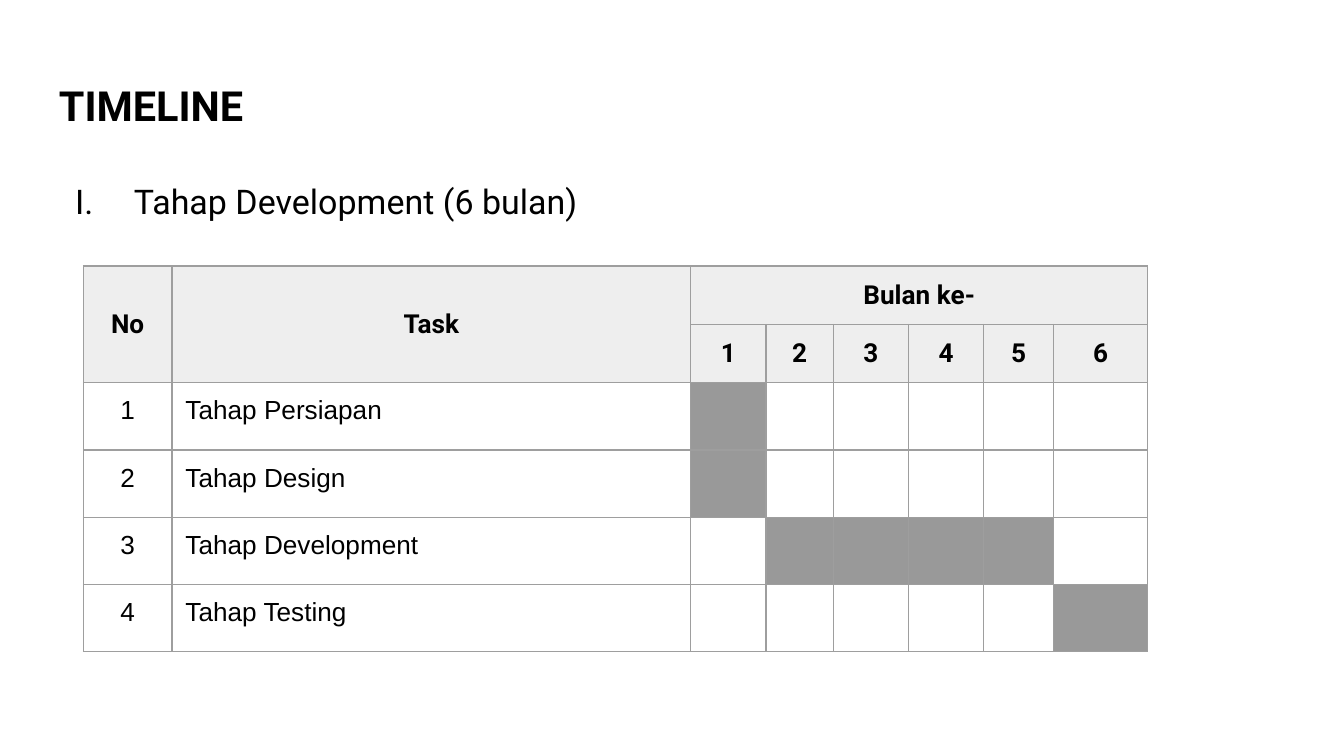
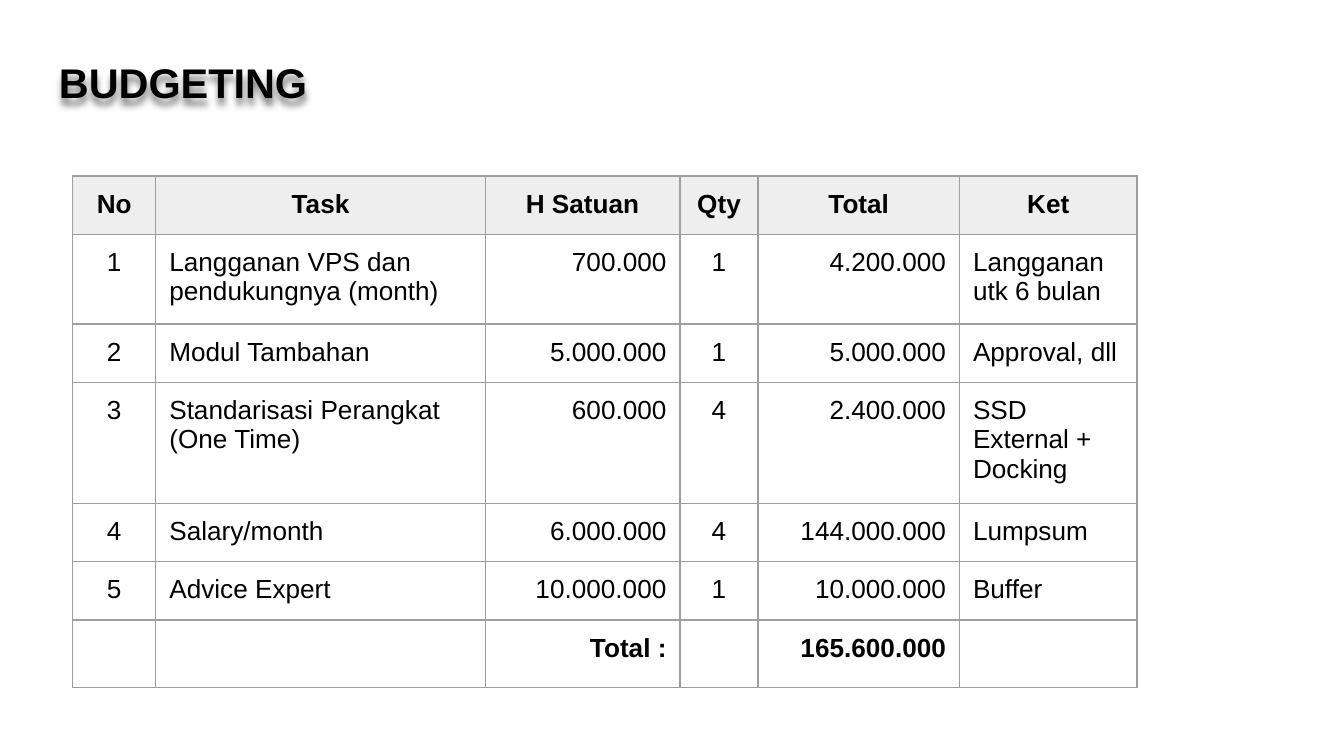
from lxml import etree
from pptx import Presentation
from pptx.dml.color import RGBColor
from pptx.enum.text import MSO_ANCHOR, PP_ALIGN
from pptx.oxml import parse_xml
from pptx.oxml.ns import qn
from pptx.util import Inches, Pt

LEFT, MID, RIGHT = PP_ALIGN.LEFT, PP_ALIGN.CENTER, PP_ALIGN.RIGHT
TOP, CENTER = MSO_ANCHOR.TOP, MSO_ANCHOR.MIDDLE
BLACK = RGBColor(0x00, 0x00, 0x00)
PALE = RGBColor(0xEE, 0xEE, 0xEE)
GRAY = RGBColor(0x99, 0x99, 0x99)
LINE = RGBColor(0x9E, 0x9E, 0x9E)
HEAD, BODY = "Roboto", "Arial"
WIDTH = Inches(10)
HEIGHT = WIDTH * 9 // 16
PAD = Inches(0.1)
EDGE = 0.34
ROW = 0.42
FRAME = Inches(3.28)
NS = "http://schemas.openxmlformats.org/drawingml/2006/main"

# Task, first month, last month
TASKS = [
    ("Tahap Persiapan", 1, 1),
    ("Tahap Design", 1, 1),
    ("Tahap Development", 2, 5),
    ("Tahap Testing", 6, 6),
]
MONTHS = 6
PLAN_COLS = [0.66, 3.86, 0.56, 0.5, 0.56, 0.56, 0.52, 0.7]

COSTS = [
    ("No", "Task", "H Satuan", "Qty", "Total", "Ket"),
    ("1", "Langganan VPS dan pendukungnya (month)", "700.000", "1",
     "4.200.000", "Langganan utk 6 bulan"),
    ("2", "Modul Tambahan", "5.000.000", "1", "5.000.000", "Approval, dll"),
    ("3", "Standarisasi Perangkat (One Time)", "600.000", "4",
     "2.400.000", "SSD External + Docking"),
    ("4", "Salary/month", "6.000.000", "4", "144.000.000", "Lumpsum"),
    ("5", "Advice Expert", "10.000.000", "1", "10.000.000", "Buffer"),
    ("", "", "Total :", "", "165.600.000", ""),
]
COST_COLS = [0.62, 2.45, 1.45, 0.58, 1.5, 1.32]
COST_ALIGN = [MID, LEFT, RIGHT, MID, RIGHT, LEFT]


def style(para, font, size, bold=False, align=LEFT):
    para.alignment = align
    for run in para.runs:
        run.font.name = font
        run.font.size = Pt(size)
        run.font.bold = bold
        run.font.color.rgb = BLACK


def add_text(slide, text, top, width, font, size, bold=False, anchor=CENTER):
    box = slide.shapes.add_textbox(
        Inches(EDGE), Inches(top), Inches(width), Inches(0.63))
    frame = box.text_frame
    frame.word_wrap = True
    frame.vertical_anchor = anchor
    frame.margin_left = frame.margin_right = PAD
    frame.margin_top = frame.margin_bottom = PAD
    frame.text = text
    style(frame.paragraphs[0], font, size, bold)
    return box


def add_title(slide, text, top, width, font):
    box = add_text(slide, text, top, width, font, 22.2, True)
    box.text_frame.paragraphs[0].line_spacing = 0.9
    return box


def add_shade(box):
    """Cast a soft shadow below the letters of a text box."""
    box._element.spPr.append(parse_xml(
        f'<a:effectLst xmlns:a="{NS}">'
        '<a:outerShdw blurRad="50800" dist="38100" dir="5400000" algn="t" '
        'rotWithShape="0"><a:srgbClr val="000000"><a:alpha val="50000"/>'
        '</a:srgbClr></a:outerShdw></a:effectLst>'))


def add_roman(para):
    """Number a paragraph I., II. and so on, with a hanging indent."""
    props = para._p.get_or_add_pPr()
    props.set("marL", str(Inches(0.5)))
    props.set("indent", str(-Inches(0.38)))
    font = etree.SubElement(props, qn("a:buFont"))
    font.set("typeface", HEAD)
    mark = etree.SubElement(props, qn("a:buAutoNum"))
    mark.set("type", "romanUcPeriod")


def add_grid(slide, left, top, cols, count):
    """Add a plain table of low rows that grow with their text."""
    shape = slide.shapes.add_table(
        count, len(cols), Inches(left), Inches(top), FRAME, FRAME)
    table = shape.table
    table.first_row = table.horz_banding = False
    for col, width in zip(table.columns, cols):
        col.width = Inches(width)
    for row in table.rows:
        row.height = Inches(ROW)
    shape.width = shape.height = FRAME
    for cell in table.iter_cells():
        cell.margin_left = cell.margin_right = PAD
        cell.margin_top = cell.margin_bottom = PAD
        props = cell._tc.get_or_add_tcPr()
        for side in "LRTB":
            props.append(parse_xml(
                f'<a:ln{side} xmlns:a="{NS}" w="{Pt(0.75)}"><a:solidFill>'
                f'<a:srgbClr val="{LINE}"/></a:solidFill></a:ln{side}>'))
        cell.fill.background()
        set_blank(cell)
    return table


def set_blank(cell):
    """Give an empty cell the body font, which sets its row's height."""
    para = cell.text_frame.paragraphs[0]._p
    end = etree.SubElement(para, qn("a:endParaRPr"))
    end.set("sz", "1800")
    etree.SubElement(end, qn("a:latin")).set("typeface", BODY)


def paint(cell, color):
    cell.fill.solid()
    cell.fill.fore_color.rgb = color


def put(cell, text, font=BODY, bold=False, align=LEFT):
    if text:
        para = cell.text_frame.paragraphs[0]
        para.text = text
        style(para, font, 14, bold, align)


def put_head(cell, text, font, anchor=TOP):
    paint(cell, PALE)
    cell.vertical_anchor = anchor
    put(cell, text, font, True, MID)


def add_plan(slide):
    add_title(slide, "TIMELINE", 0.49, 5.95, HEAD)
    table = add_grid(slide, 0.62, 1.98, PLAN_COLS, 2 + len(TASKS))
    for col, text in enumerate(("No", "Task")):
        table.cell(0, col).merge(table.cell(1, col))
        put_head(table.cell(0, col), text, HEAD, CENTER)
    table.cell(0, 2).merge(table.cell(0, 1 + MONTHS))
    put_head(table.cell(0, 2), "Bulan ke-", HEAD, CENTER)
    for month in range(1, MONTHS + 1):
        put_head(table.cell(1, 1 + month), str(month), HEAD, CENTER)
    for num, (task, first, last) in enumerate(TASKS, 1):
        put(table.cell(1 + num, 0), str(num), align=MID)
        put(table.cell(1 + num, 1), task)
        for month in range(first, last + 1):
            paint(table.cell(1 + num, 1 + month), GRAY)
    phase = add_text(slide, " Tahap Development (6 bulan)", 1.24, 5.63,
                     HEAD, 18.2, anchor=TOP)
    add_roman(phase.text_frame.paragraphs[0])


def add_costs(slide):
    add_shade(add_title(slide, "BUDGETING", 0.32, 5.36, BODY))
    table = add_grid(slide, 0.54, 1.31, COST_COLS, len(COSTS))
    last = len(COSTS) - 1
    for row, items in enumerate(COSTS):
        for col, text in enumerate(items):
            cell = table.cell(row, col)
            if row == 0:
                put_head(cell, text, BODY)
            else:
                put(cell, text, BODY, row == last, COST_ALIGN[col])


def main():
    deck = Presentation()
    deck.slide_width, deck.slide_height = WIDTH, HEIGHT
    for build in (add_plan, add_costs):
        build(deck.slides.add_slide(deck.slide_layouts[6]))
    deck.save("out.pptx")


if __name__ == "__main__":
    main()
